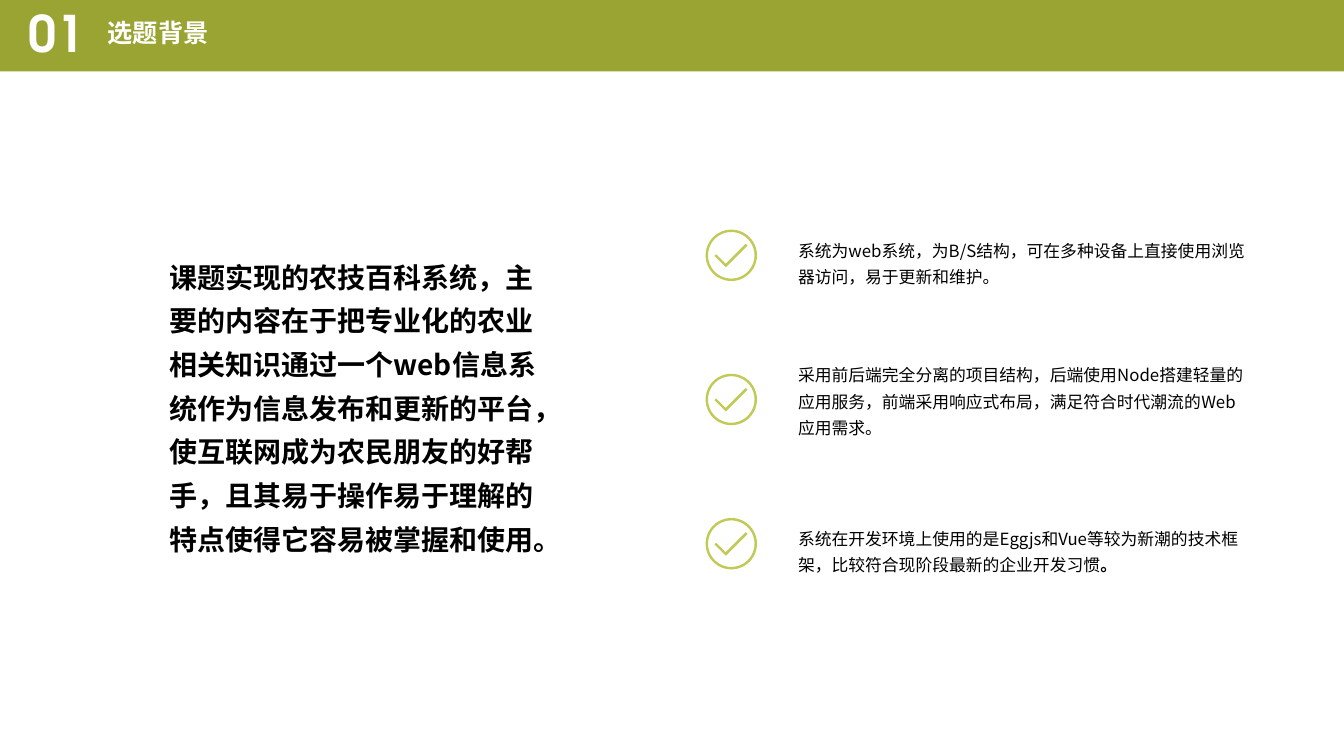
from lxml import etree
from pptx import Presentation
from pptx.dml.color import RGBColor
from pptx.enum.shapes import MSO_SHAPE
from pptx.enum.text import MSO_ANCHOR, MSO_AUTO_SIZE, PP_ALIGN
from pptx.oxml.ns import qn
from pptx.util import Pt

RECTANGLE, DONUT, CORNER = MSO_SHAPE.RECTANGLE, MSO_SHAPE.DONUT, MSO_SHAPE.CORNER
TOP, MIDDLE = MSO_ANCHOR.TOP, MSO_ANCHOR.MIDDLE
NO_FIT, GROW = MSO_AUTO_SIZE.NONE, MSO_AUTO_SIZE.SHAPE_TO_FIT_TEXT
LEFT = PP_ALIGN.LEFT

HEADING_FONT, BODY_FONT = "TeX Gyre Adventor", "Noto Sans CJK SC"
OLIVE, LIME, WHITE, BLACK = "9AA433", "C0CA54", "FFFFFF", "000000"

SUMMARY = (
    "课题实现的农技百科系统，主要的内容在于把专业化的农业相关知识通过一个web信息系统"
    "作为信息发布和更新的平台，使互联网成为农民朋友的好帮手，且其易于操作易于理解的"
    "特点使得它容易被掌握和使用。"
)
POINTS = [
    (164, 45, [("系统为web系统，为B/S结构，可在多种设备上直接使用浏览器访问，易于更新和维护。", False)]),
    (253, 64, [("采用前后端完全分离的项目结构，后端使用Node搭建轻量的应用服务，"
                "前端采用响应式布局，满足符合时代潮流的Web应用需求。", False)]),
    (370, 45, [("系统在开发环境上使用的是Eggjs和Vue等较为新潮的技术框架，"
                "比较符合现阶段最新的企业开发习惯", False), ("。", True)]),
]
FIRST_CHECK_TOP, CHECK_STEP = 164, 103


def color(value):
    return RGBColor.from_string(value)


def place(shape, left, top, width, height):
    shape.left, shape.top = Pt(left), Pt(top)
    shape.width, shape.height = Pt(width), Pt(height)


def write(box, spans, font_name, size, ink, bold, spacing, fit=NO_FIT, anchor=TOP):
    frame = box.text_frame
    frame.word_wrap = True
    frame.auto_size = fit
    frame.vertical_anchor = anchor
    para = frame.paragraphs[0]
    para.alignment = LEFT
    para.line_spacing = spacing
    para.space_before = Pt(0)
    font = para.font
    font.name, font.size, font.bold = font_name, Pt(size), bold
    font.color.rgb = color(ink)
    east_asian = etree.SubElement(font._element, qn("a:ea"))
    east_asian.set("typeface", BODY_FONT)
    for text, strong in spans:
        span = para.add_run()
        span.text = text
        if strong:
            span.font.bold = True


def add_text(page, bounds, spans, *style, **layout):
    box = page.shapes.add_textbox(*map(Pt, bounds))
    write(box, spans, *style, **layout)


def add_solid(shapes, kind, bounds, fill, adjustments=()):
    shape = shapes.add_shape(kind, *map(Pt, bounds))
    shape.shadow.inherit = False
    shape.fill.solid()
    shape.fill.fore_color.rgb = color(fill)
    shape.line.fill.background()
    for index, value in enumerate(adjustments):
        shape.adjustments[index] = value
    return shape


def add_check(page, left, top):
    group = page.shapes.add_group_shape()
    add_solid(group.shapes, DONUT, (left, top, 36.7, 36.7), LIME, [0.047])
    tick = add_solid(group.shapes, CORNER, (left + 7.2, top + 9.4, 21.9, 11.5),
                     LIME, [0.162, 0.149])
    tick.rotation = 315


def add_header(page):
    band = add_solid(page.shapes, RECTANGLE, (0, 0, 960, 51), OLIVE)
    title = page.shapes.title
    band._element.addnext(title._element)
    place(title, 69.8, 11.5, 301, 29)
    write(title, [("选题背景", False)], HEADING_FONT, 18, WHITE, True, 0.9)
    add_text(page, (13, 6.5, 57, 38), [("01", False)],
             HEADING_FONT, 36, WHITE, True, 0.9, anchor=MIDDLE)


def main():
    deck = Presentation()
    deck.slide_width, deck.slide_height = Pt(960), Pt(540)
    page = deck.slides.add_slide(deck.slide_layouts[5])
    add_header(page)
    add_text(page, (113.8, 175, 293, 259), [(SUMMARY, False)],
             BODY_FONT, 20, BLACK, True, 1.3, fit=GROW)
    for index, (top, height, spans) in enumerate(POINTS):
        add_check(page, 504, FIRST_CHECK_TOP + index * CHECK_STEP)
        add_text(page, (563, top, 335, height), spans,
                 BODY_FONT, 12, BLACK, False, 1.3, fit=GROW)
    deck.save("out.pptx")


if __name__ == "__main__":
    main()
